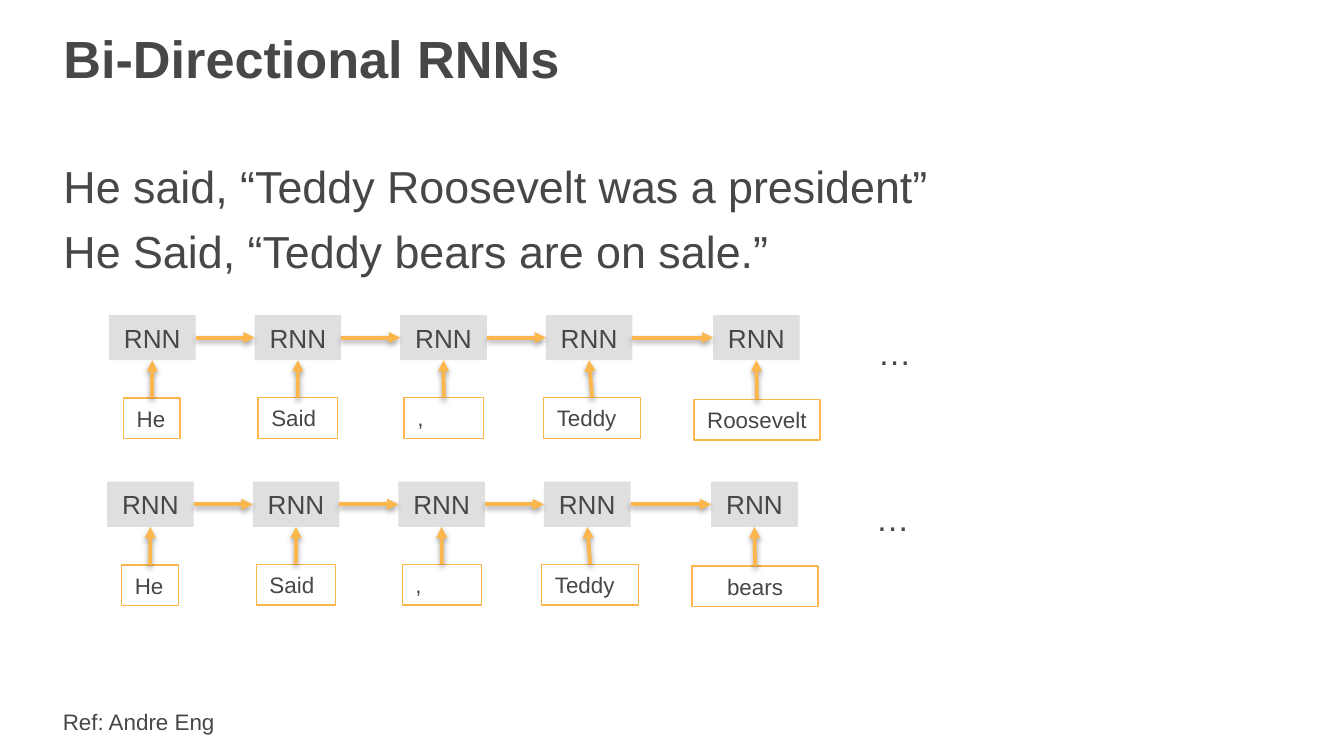
from lxml.etree import SubElement
from pptx import Presentation
from pptx.dml.color import RGBColor
from pptx.enum.shapes import MSO_CONNECTOR, MSO_SHAPE
from pptx.enum.text import MSO_ANCHOR, MSO_AUTO_SIZE, PP_ALIGN
from pptx.oxml import parse_xml
from pptx.oxml.ns import nsdecls, qn
from pptx.util import Pt

TEXT, ORANGE, GREY = "474746", "FCB64C", "DFDFDF"
SHADOW = (
    f'<a:effectLst {nsdecls("a")}><a:outerShdw blurRad="39400" dist="20300" dir="5400000" '
    'rotWithShape="0"><a:srgbClr val="000000"><a:alpha val="38000"/></a:srgbClr>'
    '</a:outerShdw></a:effectLst>'
)


def color(value):
    return RGBColor.from_string(value)


def write(para, text, size, bold=False, align=PP_ALIGN.LEFT):
    para.alignment = align
    span = para.add_run()
    span.text = text
    span.font.name = "Arial"
    span.font.size = Pt(size)
    span.font.bold = bold
    span.font.color.rgb = color(TEXT)


deck = Presentation()
deck.slide_width, deck.slide_height = Pt(720), Pt(405)
page = deck.slides.add_slide(deck.slide_layouts[1])

# Title
title = page.shapes.title
title.left, title.top, title.width, title.height = Pt(26.8), Pt(9.4), Pt(646), Pt(43)
title.text_frame.vertical_anchor = MSO_ANCHOR.MIDDLE
title.text_frame.auto_size = MSO_AUTO_SIZE.NONE
write(title.text_frame.paragraphs[0], "Bi-Directional RNNs", 28, bold=True)

# Example sentences
body = page.placeholders[1]
body.left, body.top, body.width, body.height = Pt(26.8), Pt(79.2), Pt(646), Pt(69)
frame = body.text_frame
frame.auto_size = MSO_AUTO_SIZE.NONE
frame.vertical_anchor = MSO_ANCHOR.TOP
frame.margin_top = Pt(6)
sentences = ["He said, “Teddy Roosevelt was a president”", "He Said, “Teddy bears are on sale.”"]
for index, sentence in enumerate(sentences):
    para = frame.paragraphs[0] if index == 0 else frame.add_paragraph()
    properties = para._p.get_or_add_pPr()
    properties.set("marL", "0")
    properties.set("indent", "0")
    SubElement(properties, qn("a:buNone"))
    para.space_before = Pt(6 * index)
    write(para, sentence, 24)

# Reference
reference = page.shapes.add_textbox(Pt(26.6), Pt(375.8), Pt(96.5), Pt(21.8))
reference.text_frame.word_wrap = False
write(reference.text_frame.paragraphs[0], "Ref: Andre Eng", 12)

# Two RNN chains: cells joined by arrows, each fed by a word below
CELL_WIDTH, CELL_HEIGHT, WORD_HEIGHT = 46.4, 24.2, 21.8
cell_lefts = [58.4, 136.4, 214.4, 292.4, 382]
word_centers = [81.4, 159.5, 237.7, 317.2, 405.5]
word_widths = [30.4, 42.4, 42.4, 52, 67.6]
word_drops = [44.5, 44.2, 44.2, 44.2, 45.2]
chains = [
    (0, 168.8, ["He", "Said", ",", "Teddy", "Roosevelt"]),
    (-1, 258.1, ["He", "Said", ",", "Teddy", "bears"]),
]
for shift, top, words in chains:
    chain = page.shapes.add_group_shape().shapes
    arrows = []
    for column, word in enumerate(words):
        last = column == len(words) - 1
        left = cell_lefts[column] + shift
        center = word_centers[column] + shift
        width = word_widths[column]
        word_top = top + word_drops[column]

        cell = chain.add_shape(MSO_SHAPE.RECTANGLE, Pt(left), Pt(top), Pt(CELL_WIDTH), Pt(CELL_HEIGHT))
        cell.fill.solid()
        cell.fill.fore_color.rgb = color(GREY)
        cell.line.fill.background()
        write(cell.text_frame.paragraphs[0], "RNN", 14, align=PP_ALIGN.CENTER)

        box = chain.add_shape(
            MSO_SHAPE.RECTANGLE, Pt(center - width / 2), Pt(word_top), Pt(width), Pt(WORD_HEIGHT))
        box.fill.background()
        box.line.color.rgb = color(ORANGE)
        box.line.width = Pt(0.75)
        write(box.text_frame.paragraphs[0], word, 12, align=PP_ALIGN.CENTER if last else PP_ALIGN.LEFT)

        for shape in (cell, box):
            shape.shadow.inherit = False
            shape.text_frame.word_wrap = True
        box.text_frame.word_wrap = 0 < column and not last

        arrows.append((center, word_top, left + CELL_WIDTH / 2, top + CELL_HEIGHT))
        if not last:
            middle = top + CELL_HEIGHT / 2
            arrows.append((left + CELL_WIDTH, middle, cell_lefts[column + 1] + shift, middle))

    for ends in arrows:
        arrow = chain.add_connector(MSO_CONNECTOR.STRAIGHT, *[Pt(end) for end in ends])
        arrow.line.color.rgb = color(ORANGE)
        arrow.line.width = Pt(2)
        SubElement(arrow.line._get_or_add_ln(), qn("a:tailEnd"), type="triangle")
        arrow._element.spPr.append(parse_xml(SHADOW))

    dots = chain.add_textbox(Pt(463.2 + shift), Pt(top + 5.3), Pt(32.2), Pt(29))
    dots.text_frame.word_wrap = False
    write(dots.text_frame.paragraphs[0], "…", 18)

deck.save("out.pptx")
